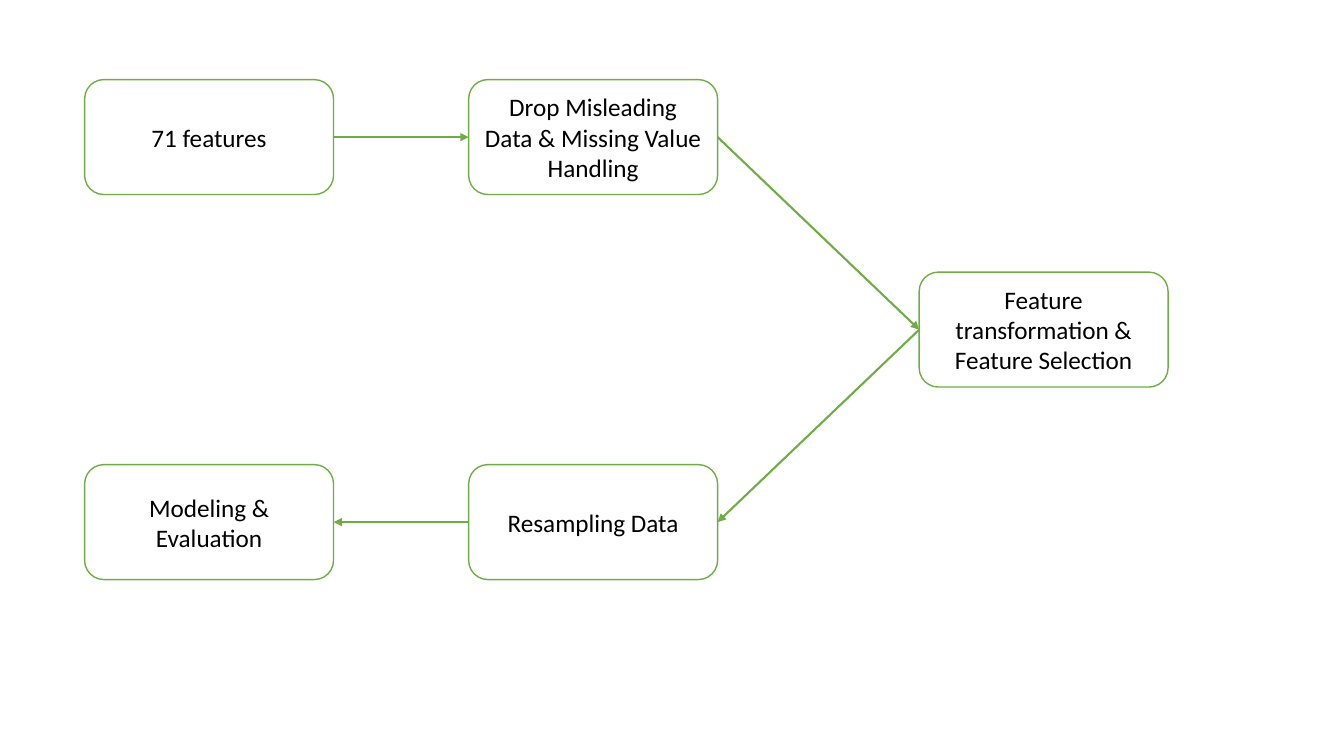
"""Build a one-slide flow chart of a data preparation and modeling pipeline."""
from dataclasses import dataclass

from lxml import etree
from pptx import Presentation
from pptx import util as u
from pptx.dml.color import RGBColor
from pptx.enum import shapes, text
from pptx.oxml.ns import qn
from pptx.shapes.autoshape import Shape
from pptx.slide import Slide

COLORS = {"box": "FFFFFF", "line": "70AD47", "text": "000000"}
BOX_W, BOX_H = 177.8, 82.1
COLS = (60.5, 334.8, 656.6)
ROWS = (56.9, 194.4, 331.9)
LEFT, RIGHT = 1, 3


@dataclass(frozen=True)
class Step:
    label: str
    col: int
    row: int


@dataclass(frozen=True)
class Arrow:
    start: int
    start_site: int
    end: int
    end_site: int


STEPS = (
    Step("71 features", 0, 0),
    Step("Drop Misleading Data & Missing Value Handling", 1, 0),
    Step("Feature transformation & Feature Selection", 2, 1),
    Step("Resampling Data", 1, 2),
    Step("Modeling & Evaluation", 0, 2),
)
ARROWS = (
    Arrow(0, RIGHT, 1, LEFT),
    Arrow(2, LEFT, 3, RIGHT),
    Arrow(3, LEFT, 4, RIGHT),
    Arrow(1, RIGHT, 2, LEFT),
)


def rgb(name: str) -> RGBColor:
    return RGBColor.from_string(COLORS[name])


def draw_step(s: Slide, step: Step) -> Shape:
    sp = s.shapes.add_shape(
        shapes.MSO_SHAPE.ROUNDED_RECTANGLE,
        u.Pt(COLS[step.col]), u.Pt(ROWS[step.row]), u.Pt(BOX_W), u.Pt(BOX_H),
    )
    sp.shadow.inherit = False
    sp.fill.solid()
    sp.fill.fore_color.rgb = rgb("box")
    sp.line.color.rgb = rgb("line")
    sp.line.width = u.Pt(1)
    tf = sp.text_frame
    tf.word_wrap = True
    tf.vertical_anchor = text.MSO_ANCHOR.MIDDLE
    p = tf.paragraphs[0]
    p.text = step.label
    p.alignment = text.PP_ALIGN.CENTER
    p.font.name = "Calibri"
    p.font.size = u.Pt(18)
    p.font.color.rgb = rgb("text")
    return sp


def draw_arrow(s: Slide, boxes: list[Shape], arrow: Arrow) -> None:
    cn = s.shapes.add_connector(shapes.MSO_CONNECTOR.STRAIGHT, 0, 0, 0, 0)
    cn.begin_connect(boxes[arrow.start], arrow.start_site)
    cn.end_connect(boxes[arrow.end], arrow.end_site)
    cn.line.color.rgb = rgb("line")
    cn.line.width = u.Pt(1.5)
    ln = cn.line._get_or_add_ln()
    etree.SubElement(ln, qn("a:tailEnd"), type="triangle")
    etree.SubElement(cn._element.spPr, qn("a:effectLst"))


def main() -> None:
    prs = Presentation()
    prs.slide_width, prs.slide_height = u.Pt(960), u.Pt(540)
    s = prs.slides.add_slide(prs.slide_layouts[6])
    boxes = [draw_step(s, step) for step in STEPS]
    for arrow in ARROWS:
        draw_arrow(s, boxes, arrow)
    prs.save("out.pptx")


if __name__ == "__main__":
    main()
